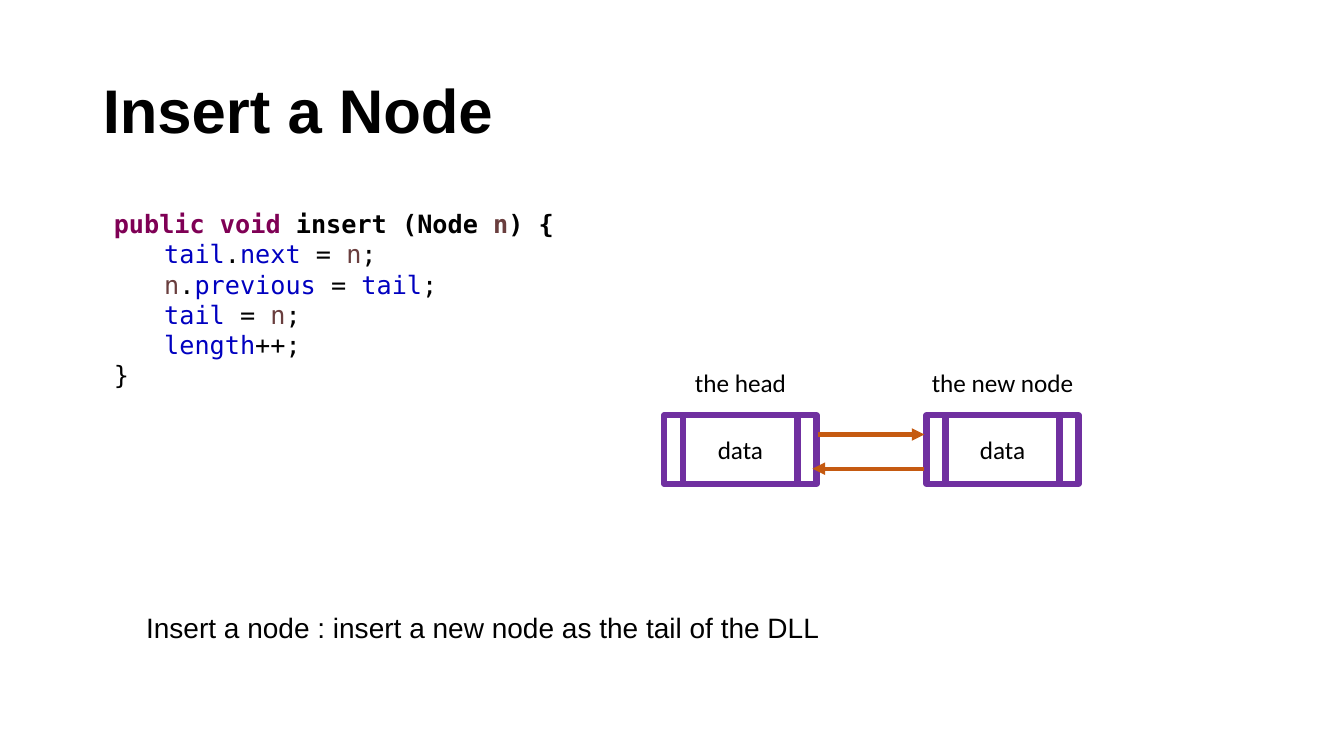
"""Builds the slide on inserting a node at the tail of a doubly linked list."""
from dataclasses import dataclass

from lxml.etree import SubElement
from pptx import Presentation
from pptx.dml.color import RGBColor
from pptx.enum.shapes import MSO_CONNECTOR, MSO_SHAPE
from pptx.enum.text import MSO_ANCHOR, PP_ALIGN
from pptx.oxml.ns import qn
from pptx.util import Inches, Pt


@dataclass(frozen=True)
class Theme:
    text: str = "000000"
    keyword: str = "7F0055"
    parameter: str = "6A3E3E"
    field: str = "0000C0"
    node: str = "7030A0"
    link: str = "C55A11"
    title_size: int = 44
    caption_size: int = 20
    body_size: int = 18
    node_line: float = 4.5
    link_line: float = 3


theme = Theme()
deck = Presentation()
deck.slide_width, deck.slide_height = Inches(13.33), Inches(7.5)
slide = deck.slides.add_slide(deck.slide_layouts[5])


def area(left, top, width, height):
    """Turn hundredths of the slide into lengths."""
    column, row = deck.slide_width / 100, deck.slide_height / 100
    return int(left * column), int(top * row), int(width * column), int(height * row)


def write(frame, lines, font="Calibri", size=theme.body_size, bold_lines=0,
          indented=(), align=PP_ALIGN.LEFT, anchor=MSO_ANCHOR.TOP, wrap=True, spacing=1.0):
    """Fill a text frame with lines of (text, colour) pieces."""
    frame.word_wrap, frame.vertical_anchor = wrap, anchor
    for number, pieces in enumerate(lines):
        paragraph = frame.add_paragraph() if number else frame.paragraphs[0]
        paragraph.alignment, paragraph.line_spacing = align, spacing
        if number in indented:
            paragraph.level = 1
            paragraph._p.get_or_add_pPr().set("marL", str(Inches(0.5)))
        for text, color in pieces:
            run = paragraph.add_run()
            run.text = text
            run.font.name, run.font.size = font, Pt(size)
            run.font.bold = number < bold_lines
            run.font.color.rgb = RGBColor.from_string(color)


title = slide.shapes.title
title.left, title.top, title.width, title.height = area(6.9, 5.33, 86.25, 19.33)
write(title.text_frame, [[("Insert a Node", theme.text)]], font="Arial",
      size=theme.title_size, bold_lines=1, anchor=MSO_ANCHOR.MIDDLE, spacing=0.9)

tail, n = ("tail", theme.field), ("n", theme.parameter)
dot, equals, end = (".", theme.text), (" = ", theme.text), (";", theme.text)
method = [
    [("public void", theme.keyword), (" insert (Node ", theme.text), n, (") {", theme.text)],
    [tail, dot, ("next", theme.field), equals, n, end],
    [n, dot, ("previous", theme.field), equals, tail, end],
    [tail, equals, n, end],
    [("length", theme.field), ("++;", theme.text)],
    [("}", theme.text)],
]
code = slide.shapes.add_textbox(*area(7.73, 26.93, 34.65, 25.6))
write(code.text_frame, method, font="DejaVu Sans Mono", bold_lines=1, indented=range(1, 5))

node_width, label_width = 11.33, 12.23
for node_left, name in ((49.43, "the head"), (68.93, "the new node")):
    node = slide.shapes.add_shape(MSO_SHAPE.FLOWCHART_PREDEFINED_PROCESS,
                                  *area(node_left, 54.93, node_width, 9.07))
    node.shadow.inherit = False
    node.fill.background()
    node.line.color.rgb = RGBColor.from_string(theme.node)
    node.line.width = Pt(theme.node_line)
    write(node.text_frame, [[("data", theme.text)]],
          align=PP_ALIGN.CENTER, anchor=MSO_ANCHOR.MIDDLE)
    label_left = node_left + (node_width - label_width) / 2
    label = slide.shapes.add_textbox(*area(label_left, 47.87, label_width, 5.33))
    write(label.text_frame, [[(name, theme.text)]], align=PP_ALIGN.CENTER, wrap=False)

for start, finish, level in ((60.9, 68.78, 57.47), (68.78, 60.45, 62)):
    link = slide.shapes.add_connector(MSO_CONNECTOR.STRAIGHT,
                                      *area(start, level, finish, level))
    link.line.color.rgb = RGBColor.from_string(theme.link)
    link.line.width = Pt(theme.link_line)
    SubElement(link.line._get_or_add_ln(), qn("a:tailEnd"), type="triangle")
    SubElement(link._element.spPr, qn("a:effectLst"))

caption = slide.shapes.add_textbox(*area(10.13, 80.13, 51.9, 5.87))
write(caption.text_frame,
      [[("Insert a node : insert a new node as the tail of the DLL", theme.text)]],
      font="Arial", size=theme.caption_size, wrap=False)

deck.save("out.pptx")
